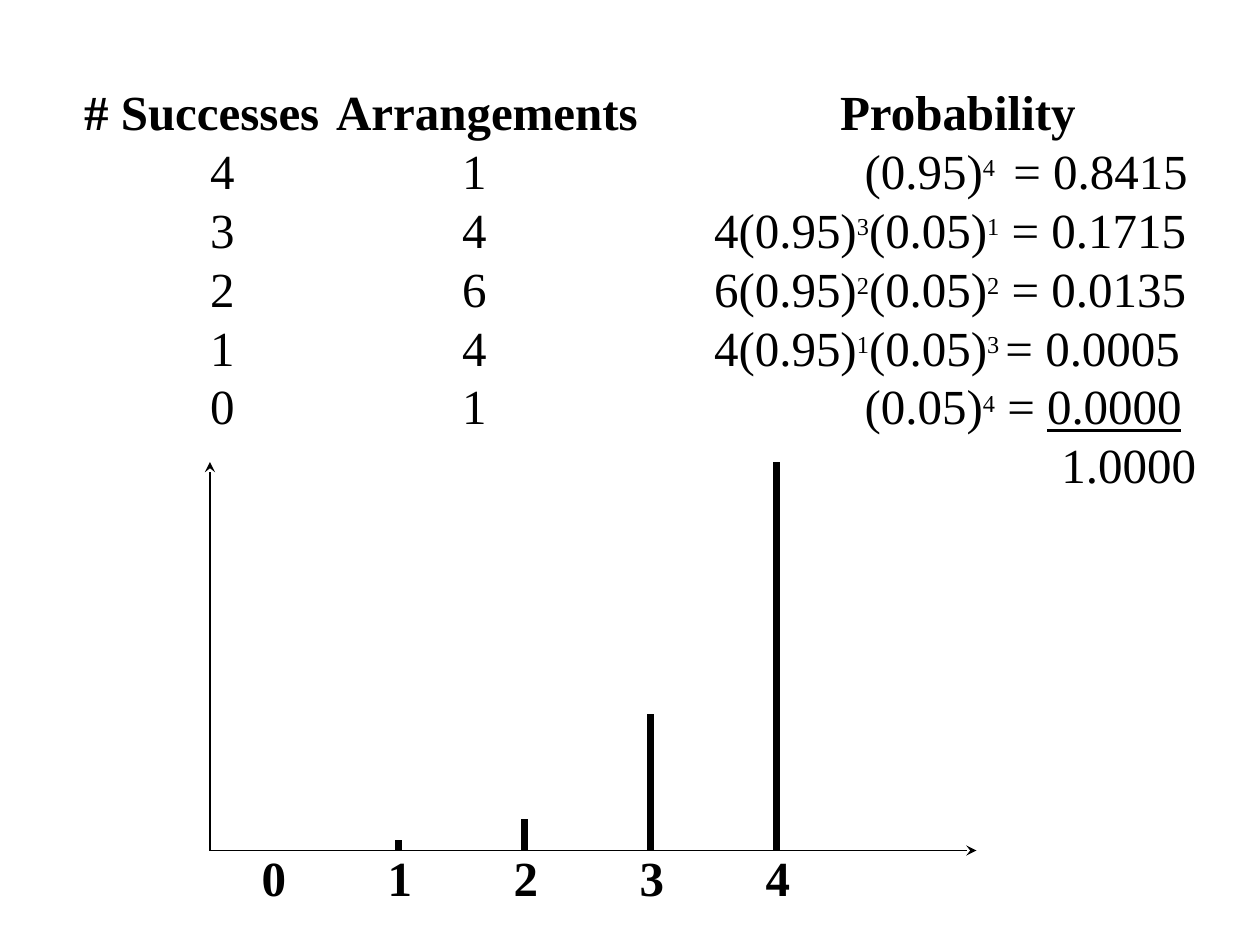
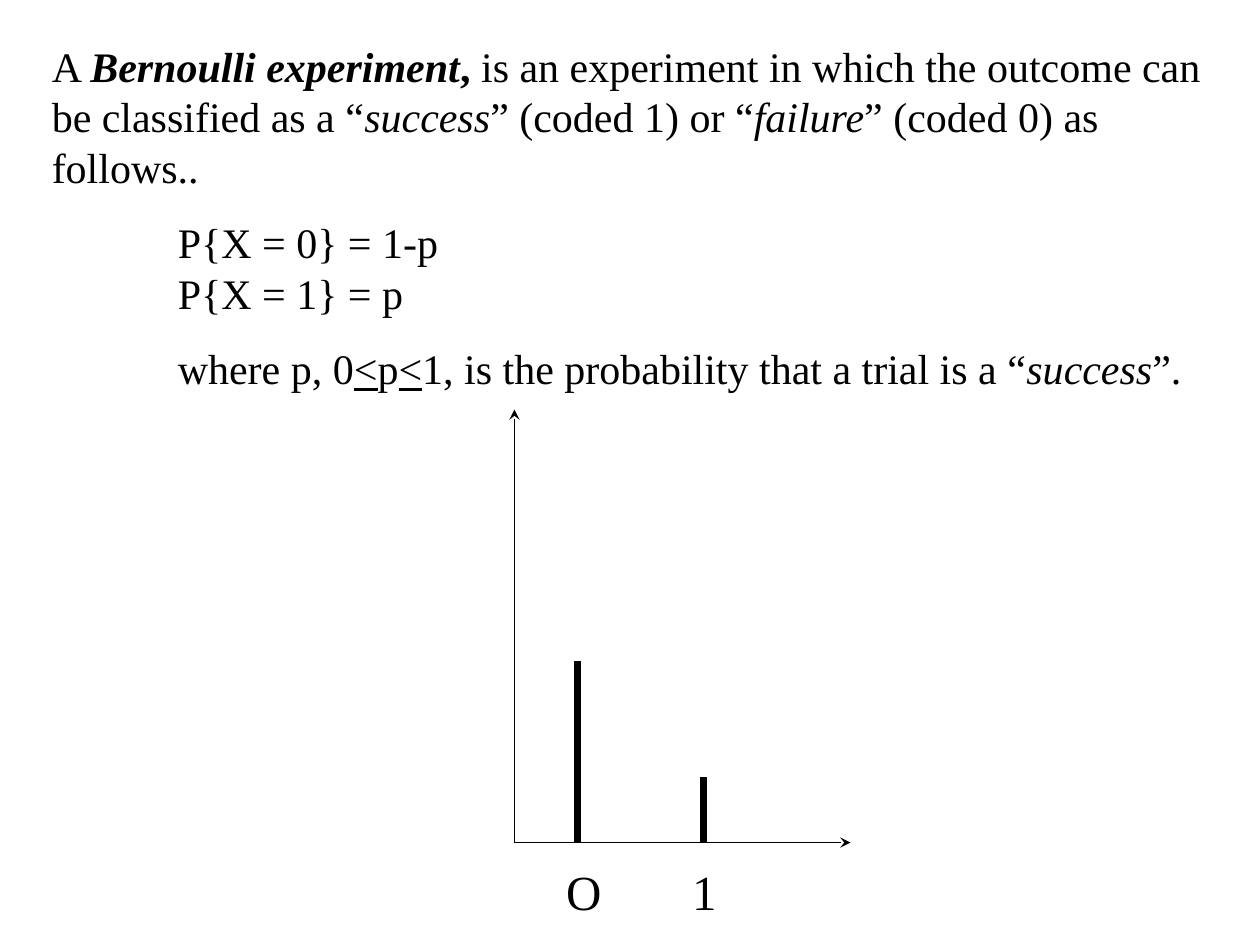
from lxml.etree import SubElement as Sub
from pptx import Presentation
from pptx.dml.color import RGBColor as Rgb
from pptx.enum.shapes import MSO_CONNECTOR as Conn
from pptx.enum.text import MSO_AUTO_SIZE as Auto, PP_ALIGN as Align
from pptx.oxml.ns import qn
from pptx.util import Pt

COLORS = {"ink": "000000", "paper": "FFFFFF"}
FONT = "Times New Roman"
STEP = 72  # distance between marks, and between tab stops
FIRST = 36  # first mark, right of the origin
INK = Rgb.from_string(COLORS["ink"])


def add_slide(deck):
    slide = deck.slides.add_slide(deck.slide_layouts[6])
    slide.background.fill.solid()
    slide.background.fill.fore_color.rgb = Rgb.from_string(COLORS["paper"])
    return slide


def add_box(slide, box, wrap=True):
    frame = slide.shapes.add_textbox(*map(Pt, box)).text_frame
    frame.word_wrap = wrap
    frame.auto_size = Auto.SHAPE_TO_FIT_TEXT
    return frame


def add_para(frame, runs, size, tabs=(), indent=0, before=0):
    """Add runs of (text, style): b bold, i italic, u underline, ^ raised."""
    para = frame.paragraphs[0]
    if para.runs:
        para = frame.add_paragraph()
    props = para._p.get_or_add_pPr()
    if indent:
        props.set("marL", str(Pt(indent)))
        props.set("indent", "0")
    if before:
        para.space_before = Pt(before)
    if tabs:
        stops = Sub(props, qn("a:tabLst"))
        for tab in tabs:
            Sub(stops, qn("a:tab"), pos=str(Pt(tab)), algn="l")
    for text, style in runs:
        run = para.add_run()
        run.text = text
        font = run.font
        font.name, font.color.rgb = FONT, INK
        font.size = Pt(24 if "^" in style else size)
        font.bold, font.italic = "b" in style, "i" in style
        font.underline = "u" in style
        if "^" in style:
            run._r.get_or_add_rPr().set("baseline", "30000")
    return para


def add_line(slide, start, end, width, arrow=False):
    line = slide.shapes.add_connector(Conn.STRAIGHT, *map(Pt, start + end))
    line.line.width = Pt(width)
    line.line.color.rgb = INK
    if arrow:
        Sub(line.line._get_or_add_ln(), qn("a:tailEnd"), type="stealth")
    Sub(line._element.spPr, qn("a:effectLst"))


def add_graph(slide, box, sticks, names, drop, style=""):
    """Draw axes along the left and base of box, one stick per name."""
    left, top, width, height = box
    base = top + height
    add_line(slide, (left, base), (left + width, base), 1, True)
    add_line(slide, (left, base), (left, top), 1, True)
    for i, tall in enumerate(sticks):
        x = left + FIRST + i * STEP
        if tall:
            add_line(slide, (x, base), (x, base - tall), 4)
    span = (len(names) - 1) * STEP
    frame = add_box(slide, (left + 22.5, base + drop, span + 28.8, 41), False)
    tabs = [i * STEP for i in range(1, len(names))]
    add_para(frame, [("\t".join(names), style)], 28, tabs)


def add_odds(slide, box):
    frame = add_box(slide, box)
    head = "# Successes\tArrangements\tProbability"
    add_para(frame, [(head, "b")], 28, (2 * STEP, 6 * STEP))
    rows = [
        ("4", "1", [("(0.95)", ""), ("4 ", "^"), (" = 0.8415", "")]),
        ("3", "4", [("4(0.95)", ""), ("3", "^"), ("(0.05)", ""),
                    ("1", "^"), (" = 0.1715", "")]),
        ("2", "6", [("6(0.95)", ""), ("2", "^"), ("(0.05)", ""),
                    ("2", "^"), (" = 0.0135", "")]),
        ("1", "4", [("4(0.95)", ""), ("1", "^"), ("(0.05)", ""),
                    ("3 ", "^"), ("= 0.0005", "")]),
        ("0", "1", [("(0.05)", ""), ("4", "^"), (" = ", ""),
                    ("0.0000", "u")]),
    ]
    for wins, ways, odds in rows:
        lone = odds[0][0].startswith("(")
        tabs = (STEP, 3 * STEP, 446 if lone else 5 * STEP)
        add_para(frame, [(f"\t{wins}\t{ways}\t", "")] + odds, 28, tabs)
    add_para(frame, [("1.0000", "")], 28).alignment = Align.RIGHT


def add_rule(slide, box):
    frame = add_box(slide, box)
    add_para(frame, [
        ("A ", ""), ("Bernoulli experiment", "bi"), (", ", "b"),
        ("is an experiment in which the outcome can be classified as a “", ""),
        ("success", "i"), ("” (coded 1) or “", ""), ("failure", "i"),
        ("” (coded 0) as follows..", "")], 24)
    add_para(frame, [("P{X = 0} = 1-p", "")], 24, indent=STEP, before=14.4)
    add_para(frame, [("P{X = 1} = p", "")], 24, indent=STEP)
    add_para(frame, [
        ("where p, 0", ""), ("<", "u"), ("p", ""), ("<", "u"),
        ("1, is the probability that a trial is a “", ""),
        ("success", "i"), ("”.", "")], 24, indent=STEP, before=14.4)


def main():
    deck = Presentation()
    deck.slide_width, deck.slide_height = Pt(720), Pt(540)

    slide = add_slide(deck)
    add_odds(slide, (41, 43.2, 649.5, 276.5))
    add_graph(slide, (120, 264, 438, 222), (0, 6, 18, 78, 222),
              "01234", -5, "b")

    slide = add_slide(deck)
    add_rule(slide, (22.5, 19.5, 685.5, 209))
    add_graph(slide, (294, 234, 192, 247.5), (104, 37.5), "O1", 7.2)

    deck.save("out.pptx")


if __name__ == "__main__":
    main()
